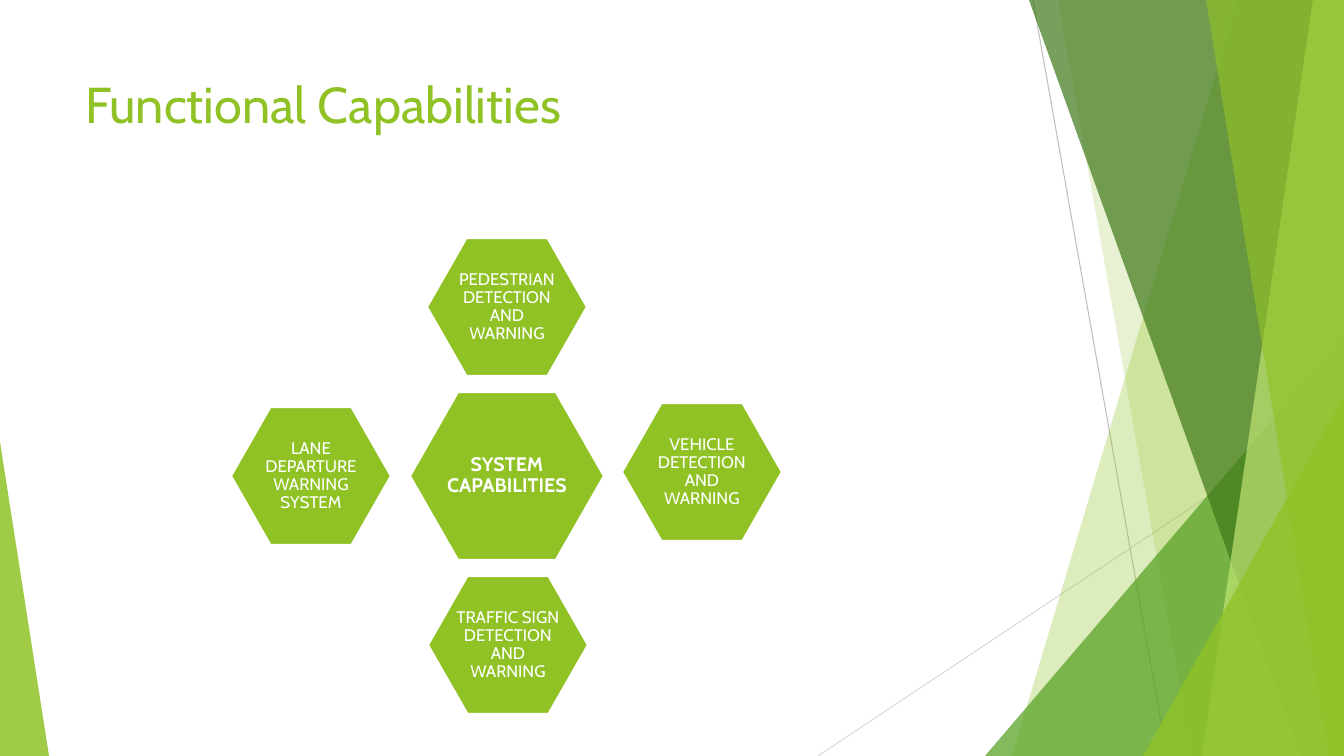
from dataclasses import dataclass

from lxml import etree
from pptx import Presentation
from pptx import util as u
from pptx.dml.color import RGBColor
from pptx.enum import shapes, text
from pptx.oxml.ns import qn

WIDTH, HEIGHT = 1344, 756
SCALE = 914400 / 100.8


@dataclass(frozen=True)
class Theme:
    """Colours, font and type sizes of the slide."""
    lime: str = "90C226"
    green: str = "54A021"
    forest: str = "3F7819"
    pale: str = "C0E474"
    white: str = "FFFFFF"
    rule: str = "BFBFBF"
    light_rule: str = "D9D9D9"
    font: str = "Cabin"
    title_size: int = 36
    hub_size: int = 14
    label_size: int = 12


def px(*lengths):
    """Turn pixel lengths into EMU."""
    return [u.Emu(round(length * SCALE)) for length in lengths]


def assign(target, values):
    """Set attributes from a dict of format values."""
    for name, value in values.items():
        setattr(target, name, value)


class SlideBuilder:
    """Draws styled elements on the current slide."""

    def __init__(self, slide, theme):
        """Keep the slide and its theme."""
        self.slide, self.theme = slide, theme

    def label(self, shape, words, size, color, frame, alignment, bold=False, spacing=1.0):
        """Put one formatted paragraph in a shape."""
        assign(shape.text_frame, frame)
        paragraph = shape.text_frame.paragraphs[0]
        assign(paragraph, {"alignment": alignment, "line_spacing": spacing})
        run = paragraph.add_run()
        run.text = words
        assign(run.font, {"name": self.theme.font, "size": u.Pt(size), "bold": bold})
        run.font.color.rgb = RGBColor.from_string(color)

    def paint(self, shape, color, opacity=100):
        """Give a shape a plain fill without line or shadow."""
        shape.shadow.inherit = False
        shape.fill.solid()
        shape.fill.fore_color.rgb = RGBColor.from_string(color)
        shape.line.fill.background()
        if opacity < 100:
            tint = shape.element.spPr.find(qn("a:solidFill"))[0]
            etree.SubElement(tint, qn("a:alpha"), val=str(opacity * 1000))

    def title(self, words, box):
        """Fill and move the title placeholder."""
        shape = self.slide.shapes.title
        assign(shape, dict(zip(("left", "top", "width", "height"), px(*box))))
        frame = {"vertical_anchor": text.MSO_ANCHOR.TOP, "word_wrap": True}
        self.label(shape, words, self.theme.title_size, self.theme.lime,
                   frame, text.PP_ALIGN.LEFT)

    def line(self, start, end, color):
        """Draw a thin straight line."""
        connector = self.slide.shapes.add_connector(
            shapes.MSO_CONNECTOR.STRAIGHT, *px(*start, *end))
        connector.line.color.rgb = RGBColor.from_string(color)
        connector.line.width = u.Pt(0.75)
        etree.SubElement(connector.element.spPr, qn("a:effectLst"))

    def panel(self, top_x, bottom_x, color, opacity):
        """Fill from a slanted left edge to the right side of the slide."""
        builder = self.slide.shapes.build_freeform(top_x, 0, scale=SCALE)
        builder.add_line_segments([(WIDTH, 0), (WIDTH, HEIGHT), (bottom_x, HEIGHT)])
        self.paint(builder.convert_to_shape(), color, opacity)

    def corner(self, left, top, width, apex, color, opacity):
        """Draw a right triangle standing on the bottom edge."""
        shape = self.slide.shapes.add_shape(
            shapes.MSO_SHAPE.ISOSCELES_TRIANGLE, *px(left, top, width, HEIGHT - top))
        shape.adjustments[0] = apex
        self.paint(shape, color, opacity)

    def hexagon(self, words, box, size, bold=False):
        """Draw a hexagon with a centred label."""
        shape = self.slide.shapes.add_shape(shapes.MSO_SHAPE.HEXAGON, *px(*box))
        shape.adjustments[0] = 0.286
        self.paint(shape, self.theme.lime)
        shape.line.color.rgb = RGBColor.from_string(self.theme.white)
        shape.line.width = u.Pt(1.5)
        frame = {"word_wrap": True, "vertical_anchor": text.MSO_ANCHOR.MIDDLE}
        frame |= {f"margin_{side}": 0 for side in ("left", "top", "right", "bottom")}
        self.label(shape, words, size, self.theme.white, frame,
                   text.PP_ALIGN.CENTER, bold, 0.9)


def draw_background(builder):
    """Draw the overlapping green facets and thin lines."""
    theme = builder.theme
    builder.line((1033, 0), (1167, HEIGHT), theme.rule)
    builder.line((WIDTH, 406), (818, HEIGHT), theme.light_rule)
    builder.panel(1238, 1012, theme.lime, 30)
    builder.panel(1058, 1192, theme.lime, 20)
    builder.corner(985, 336, 359, 1, theme.green, 72)
    builder.panel(1029, 1301, theme.forest, 70)
    builder.panel(1313, 1202, theme.pale, 70)
    builder.panel(1206, 1329, theme.lime, 65)
    builder.corner(1143, 396, 201, 1, theme.lime, 80)
    builder.corner(0, 442, 49, 0, theme.lime, 85)


def draw_capabilities(builder):
    """Draw the central hexagon and the four around it."""
    theme = builder.theme
    builder.hexagon("SYSTEM CAPABILITIES", (410, 392, 194, 168), theme.hub_size, True)
    capabilities = [
        ("LANE DEPARTURE WARNING SYSTEM", 231, 407),
        ("PEDESTRIAN DETECTION AND WARNING", 427, 238),
        ("VEHICLE DETECTION AND WARNING", 622, 403),
        ("TRAFFIC SIGN DETECTION AND WARNING", 428, 576),
    ]
    for words, left, top in capabilities:
        builder.hexagon(words, (left, top, 160, 138), theme.label_size)


def main():
    """Build and save the slide."""
    presentation = Presentation()
    size = px(WIDTH, HEIGHT)
    assign(presentation, dict(zip(("slide_width", "slide_height"), size)))
    slide = presentation.slides.add_slide(presentation.slide_layouts[5])
    builder = SlideBuilder(slide, Theme())
    draw_background(builder)
    builder.title("Functional Capabilities", (75, 68, 948, 145))
    draw_capabilities(builder)
    presentation.save("out.pptx")


main()
